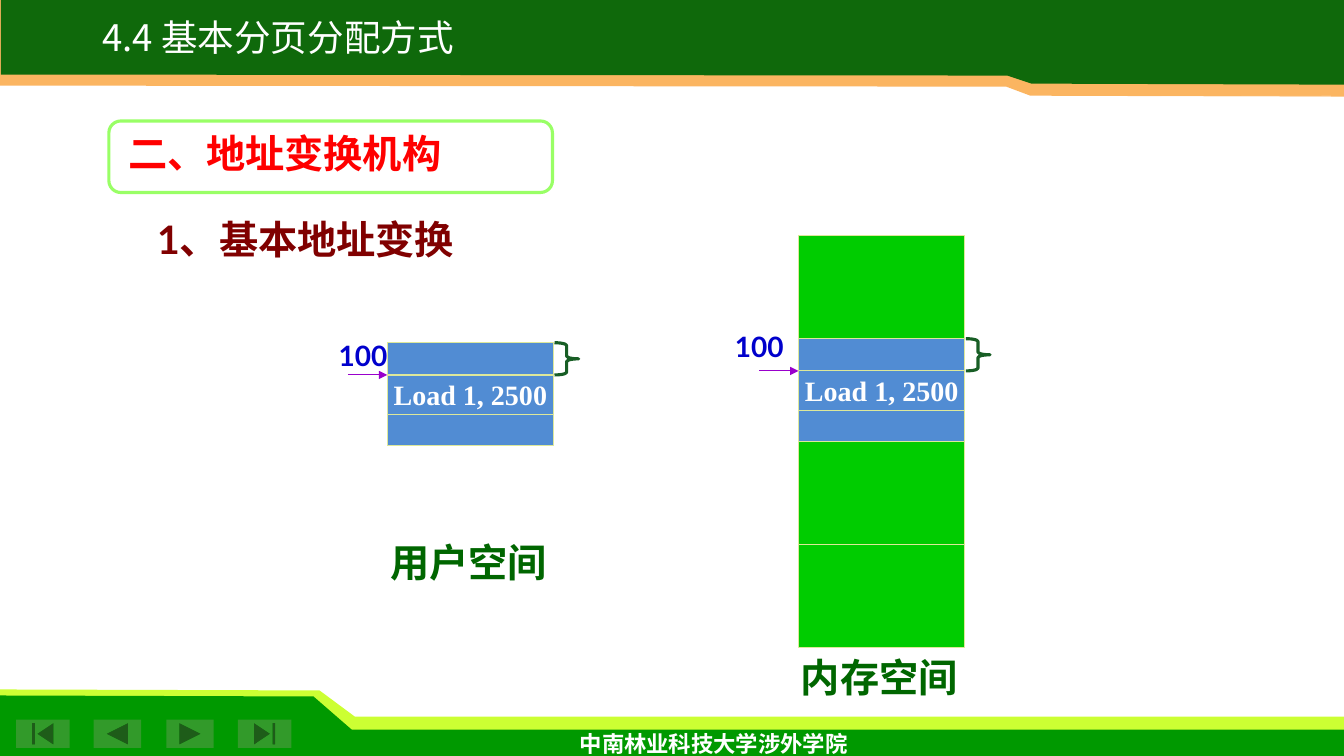
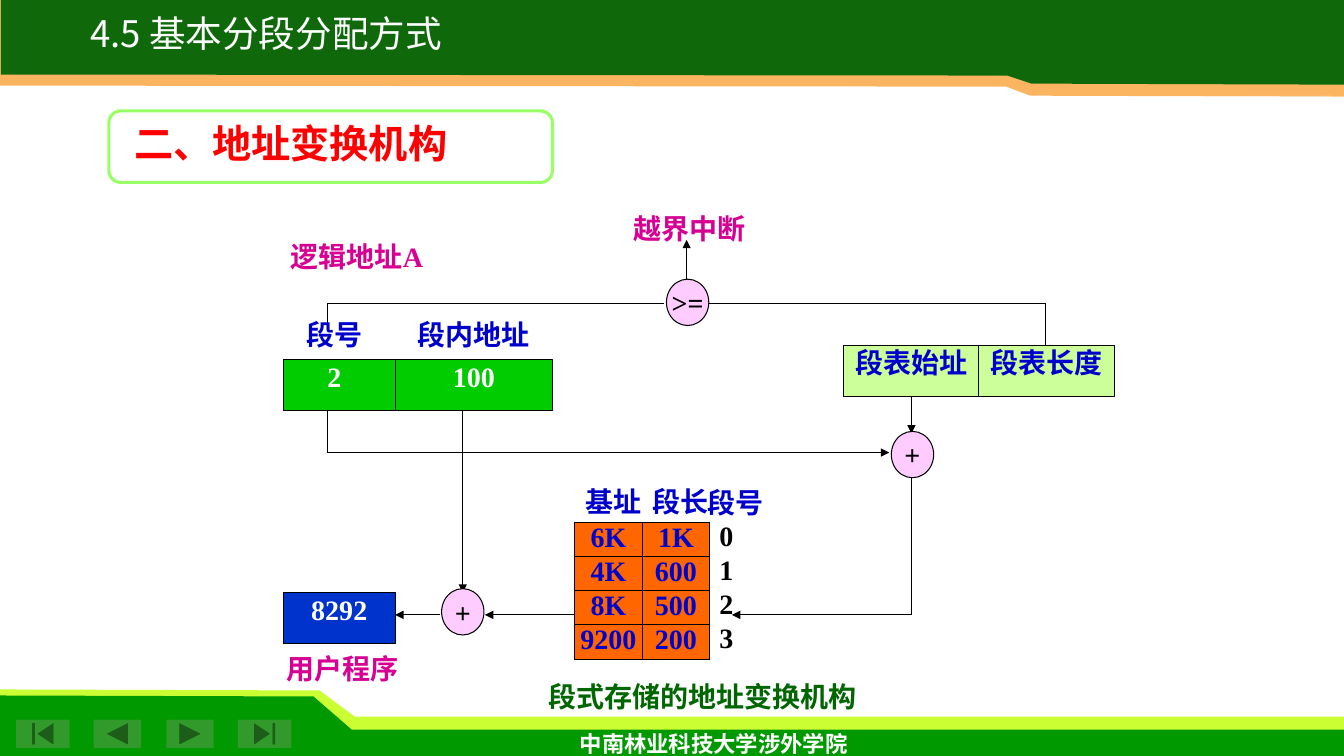
from lxml.etree import SubElement as Sub
from pptx import Presentation
from pptx.dml.color import RGBColor as RGB
from pptx.enum.shapes import MSO_CONNECTOR as LINK, MSO_SHAPE as SHAPE
from pptx.enum.text import MSO_ANCHOR as ANCHOR, PP_ALIGN as ALIGN
from pptx.oxml.ns import qn
from pptx.util import Inches, Pt

WHITE = RGB(0xFF, 0xFF, 0xFF)
BLACK = RGB(0, 0, 0)
DARK = RGB(0x0F, 0x69, 0x0B)
ORANGE = RGB(0xFB, 0xB5, 0x61)
LIME = RGB(0xCC, 0xFF, 0x33)
GREEN = RGB(0, 0x99, 0)
BUTTON = RGB(0x32, 0x9A, 0x2A)
MINT = RGB(0x99, 0xFF, 0x66)
RED = RGB(0xFF, 0, 0)
MAROON = RGB(0x80, 0, 0)
FOREST = RGB(0, 0x66, 0)
BLUE = RGB(0, 0, 0xCC)
NAVY = RGB(0, 0x33, 0xCC)
SKY = RGB(0x51, 0x8C, 0xD3)
GRASS = RGB(0, 0xCC, 0)
CREAM = RGB(0xDD, 0xE8, 0x9A)
PURPLE = RGB(0x99, 0, 0xCC)
BRACE = RGB(0x18, 0x5E, 0x25)
PINK = RGB(0xFF, 0xCC, 0xFF)
ROSE = RGB(0xD6, 0, 0x93)
PALE = RGB(0xCC, 0xFF, 0x99)
RUST = RGB(0xFF, 0x66, 0)

SANS, SERIF, CJK = "Lato", "Times New Roman", "Noto Sans CJK SC"
WIDE, TALL = 13.33, 7.5

BANDS = [
    (LIME, 100, [(0, 7.4), (WIDE, 7.4), (WIDE, 7.11), (3.52, 7.11),
                 (3.17, 6.85), (0, 6.84)]),
    (GREEN, 100, [(0, TALL), (WIDE, TALL), (WIDE, 7.24), (3.49, 7.24),
                  (3.11, 6.91), (0, 6.9)]),
    (ORANGE, 100, [(WIDE, 0), (0, 0), (0, 0.85), (9.98, 0.86),
                   (10.22, 0.95), (WIDE, 0.96)]),
    (DARK, 100, [(WIDE, 0), (0.01, 0), (0.01, 0.74), (9.99, 0.75),
                 (10.23, 0.83), (WIDE, 0.84)]),
    (WHITE, 30, [(10.05, 0.96), (13.2, 0.95), (13.19, 1.01), (10.19, 1.01)]),
]
BUTTONS = [
    (SHAPE.ACTION_BUTTON_BEGINNING, 0.16, 0.53),
    (SHAPE.ACTION_BUTTON_BACK_OR_PREVIOUS, 0.93, 0.47),
    (SHAPE.ACTION_BUTTON_FORWARD_OR_NEXT, 1.65, 0.47),
    (SHAPE.ACTION_BUTTON_END, 2.36, 0.53),
]


def put(item, values):
    for key, value in values.items():
        setattr(item, key, value)


class Deck:
    inset = dict(margin_left=0, margin_right=0, margin_top=0, margin_bottom=0)
    frame = dict(inset, word_wrap=True)
    face = dict(name=SERIF, size=Pt(20), bold=True)

    def __init__(self):
        self.show = Presentation()
        put(self.show, dict(slide_width=Inches(WIDE), slide_height=Inches(TALL)))

    def page(self, title, mid, top):
        self.slide = self.show.slides.add_slide(self.show.slide_layouts[6])
        for fill, alpha, points in BANDS:
            self.band(points, fill, alpha)
        for kind, left, width in BUTTONS:
            self.shape(kind, (left, 7.14, width, 0.28), BUTTON)
        self.text("中南林业科技大学涉外学院", (4.86, 7.24, 4.44, 0.26),
                  WHITE, name=SANS, size=Pt(16))
        box = self.text(title, (mid - 2.2, top, 4.4, 0.4), WHITE,
                        name=CJK, size=Pt(26.1), bold=False)
        box.text_frame.paragraphs[0].line_spacing = 0.8

    def head(self, words, left, top):
        box = self.shape(SHAPE.ROUNDED_RECTANGLE, (1.08, top, 4.4, 0.71),
                         WHITE, MINT, 2.25, 90)
        box.adjustments[0] = 0.167
        self.text(words, (left, top + 0.08, 4.1, 0.5), RED, ALIGN.LEFT,
                  size=Pt(28))

    def paint(self, shape, fill, line=None, width=0.75, alpha=100):
        shape.shadow.inherit = False
        if fill is None:
            shape.fill.background()
        else:
            shape.fill.solid()
            shape.fill.fore_color.rgb = fill
            if alpha < 100:
                tone = shape.element.spPr.find(qn("a:solidFill"))[0]
                Sub(tone, qn("a:alpha"), val=str(alpha * 1000))
        if line is None:
            shape.line.fill.background()
        else:
            shape.line.color.rgb = line
            shape.line.width = Pt(width)
        return shape

    def band(self, points, fill, alpha):
        spots = [(Inches(x), Inches(y)) for x, y in points]
        pen = self.slide.shapes.build_freeform(*spots[0], scale=1.0)
        pen.add_line_segments(spots[1:], close=True)
        self.paint(pen.convert_to_shape(), fill, alpha=alpha)

    def shape(self, kind, area, fill, line=None, width=0.75, alpha=100):
        shape = self.slide.shapes.add_shape(kind, *map(Inches, area))
        return self.paint(shape, fill, line, width, alpha)

    def label(self, frame, words, color, align=ALIGN.CENTER, **face):
        para = frame.paragraphs[0]
        para.alignment = align
        run = para.add_run()
        run.text = words
        put(run.font, {**self.face, **face})
        run.font.color.rgb = color
        Sub(run._r.get_or_add_rPr(), qn("a:ea"), typeface=CJK)

    def text(self, words, area, color, align=ALIGN.CENTER, **face):
        box = self.slide.shapes.add_textbox(*map(Inches, area))
        put(box.text_frame, self.frame)
        self.label(box.text_frame, words, color, align, **face)
        return box

    def cell(self, words, area, fill, color=WHITE, line=BLACK,
             anchor=ANCHOR.TOP, pad=0):
        box = self.shape(SHAPE.RECTANGLE, area, fill, line)
        put(box.text_frame, {**self.frame, "vertical_anchor": anchor,
                             "margin_right": Inches(pad)})
        self.label(box.text_frame, words, color)

    def node(self, sign, left, top):
        oval = self.shape(SHAPE.OVAL, (left, top, 0.42, 0.46), PINK, BLACK)
        put(oval.text_frame, {**self.frame, "word_wrap": False,
                              "vertical_anchor": ANCHOR.MIDDLE})
        self.label(oval.text_frame, sign, BLACK)

    def line(self, ends, color=BLACK, arrow=False):
        link = self.slide.shapes.add_connector(LINK.STRAIGHT, *map(Inches, ends))
        link.line.color.rgb = color
        link.line.width = Pt(0.75)
        prop = link.element.spPr
        if arrow:
            Sub(prop.find(qn("a:ln")), qn("a:tailEnd"), type="triangle")
        Sub(prop, qn("a:effectLst"))

    def table(self, rows, left, top, width, height, fill, color):
        size = len(rows), len(rows[0])
        area = left, top, width * size[1], height * size[0]
        grid = self.slide.shapes.add_table(*size, *map(Inches, area)).table
        put(grid, dict(first_row=False, horz_banding=False))
        for col in grid.columns:
            col.width = Inches(width)
        for row, values in zip(grid.rows, rows):
            row.height = Inches(height)
            for cell, value in zip(row.cells, values):
                put(cell, self.inset)
                prop = cell._tc.get_or_add_tcPr()
                for side in "LRTB":
                    edge = Sub(prop, qn("a:ln" + side), w=str(Pt(0.75)))
                    solid = Sub(edge, qn("a:solidFill"))
                    Sub(solid, qn("a:srgbClr"), val=str(BLACK))
                cell.fill.solid()
                cell.fill.fore_color.rgb = fill
                self.label(cell.text_frame, value, color)

    def block(self, left, top):
        self.shape(SHAPE.RECTANGLE, (left, top, 1.65, 1.02), SKY, CREAM)
        self.cell("Load 1, 2500", (left, top + 0.32, 1.65, 0.39), SKY,
                  line=CREAM, anchor=ANCHOR.MIDDLE)
        self.line((left - 0.39, top + 0.32, left, top + 0.32), PURPLE, True)
        brace = self.shape(SHAPE.RIGHT_BRACE, (left + 1.66, top, 0.24, 0.32),
                           None, BRACE, 2.25)
        brace.adjustments[0] = 0.112


def paging(deck):
    deck.page("4.4 基本分页分配方式", 2.76, 0.23)
    deck.head("二、地址变换机构", 1.27, 1.2)
    deck.text("1、基本地址变换", (1.56, 2.14, 3.96, 0.6), MAROON, ALIGN.LEFT,
              name=SANS, size=Pt(28))
    user, memory, top = 3.84, 7.92, 2.34
    for step in (0, 2, 3):
        deck.shape(SHAPE.RECTANGLE, (memory, top + 1.02 * step, 1.65, 1.02),
                   GRASS, CREAM)
    deck.block(user, 3.4)
    deck.block(memory, top + 1.02)
    for left, high in ((3.3, 3.36), (7.23, 3.27)):
        deck.text("100", (left, high, 0.6, 0.34), BLUE, name=SANS)
    for words, left, high in (("用户空间", 3.77, 5.34), ("内存空间", 7.84, 6.48)):
        deck.text(words, (left, high, 1.76, 0.5), FOREST, name=SANS, size=Pt(28))


def segment(deck):
    deck.page("4.5 基本分段分配方式", 2.64, 0.19)
    deck.head("二、地址变换机构", 1.33, 1.1)

    for ends in ((3.25, 3.93, 3.25, 4.49), (9.04, 4.72, 9.04, 6.1),
                 (3.25, 3.23, 3.25, 3.01), (3.25, 3.01, 6.59, 3.01),
                 (7.03, 3.01, 10.37, 3.01), (10.37, 3.01, 10.37, 3.42)):
        deck.line(ends)
    for ends in ((9.04, 6.1, 7.26, 6.1), (3.25, 4.49, 8.82, 4.49),
                 (6.81, 2.8, 6.81, 2.38), (9.04, 3.93, 9.04, 4.3),
                 (5.7, 6.1, 4.81, 6.1), (4.59, 3.92, 4.59, 5.88),
                 (4.36, 6.1, 3.92, 6.1)):
        deck.line(ends, arrow=True)
    for sign, left, top in ((">=", 6.61, 2.77), ("+", 8.84, 4.28),
                            ("+", 4.38, 5.84)):
        deck.node(sign, left, top)

    deck.cell("2", (2.81, 3.57, 1.11, 0.5), GRASS, pad=0.1)
    deck.cell("100", (3.92, 3.57, 1.56, 0.5), GRASS)
    deck.cell("8292", (2.81, 5.88, 1.11, 0.5), NAVY)
    for spot, words in enumerate(("段表始址", "段表长度")):
        deck.cell(words, (8.37 + 1.34 * spot, 3.43, 1.34, 0.5), PALE, BLUE)

    rows = [("6K", "1K"), ("4K", "600"), ("8K", "500"), ("9200", "200")]
    deck.table(rows, 5.7, 5.18, 0.67, 0.34, RUST, BLUE)
    for spot in range(len(rows)):
        deck.text(str(spot), (6.81, 5.14 + 0.34 * spot, 0.79, 0.34), BLACK)

    for words, left, top, width, color in (
            ("段号", 2.81, 3.15, 1.01, BLUE),
            ("段内地址", 3.92, 3.15, 1.56, BLUE),
            ("基址", 5.69, 4.81, 0.79, BLUE),
            ("段长", 6.35, 4.81, 0.79, BLUE),
            ("段号", 6.9, 4.82, 0.79, BLUE),
            ("逻辑地址A", 2.81, 2.38, 1.46, ROSE),
            ("越界中断", 6.11, 2.1, 1.46, ROSE),
            ("用户程序", 2.77, 6.46, 1.25, ROSE),
            ("段式存储的地址变换机构", 4.3, 6.74, 5.34, FOREST)):
        deck.text(words, (left, top, width, 0.39), color)


deck = Deck()
paging(deck)
segment(deck)
deck.show.save("out.pptx")
